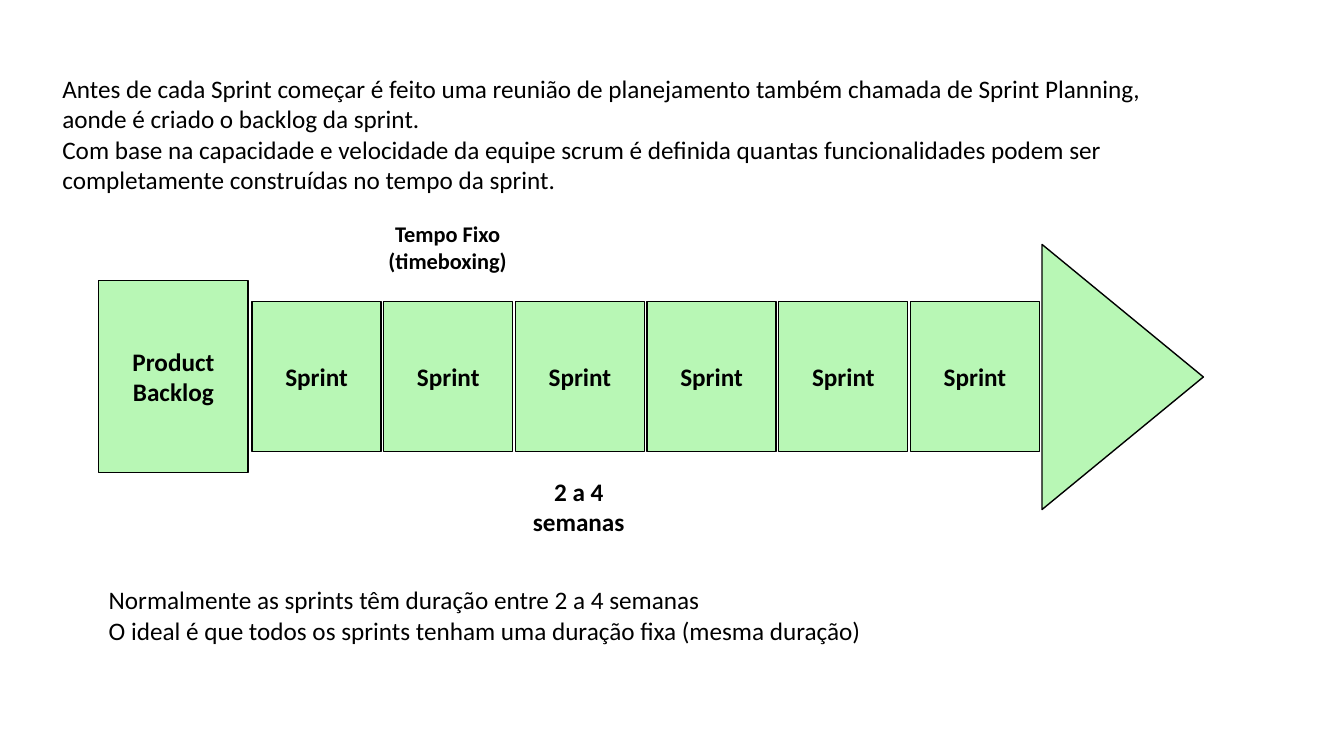
"""Build the sprint timeline slide."""
from pptx import Presentation
from pptx.dml.color import RGBColor
from pptx.enum.shapes import MSO_SHAPE
from pptx.enum.text import MSO_ANCHOR, PP_ALIGN
from pptx.util import Inches, Pt

RECT, TRIANGLE = MSO_SHAPE.RECTANGLE, MSO_SHAPE.ISOSCELES_TRIANGLE
LEFT, CENTER = PP_ALIGN.LEFT, PP_ALIGN.CENTER
TOP, MIDDLE = MSO_ANCHOR.TOP, MSO_ANCHOR.MIDDLE
COLORS = {"green": "B8F7B5", "black": "000000", "white": "FFFFFF"}

prs = Presentation()
prs.slide_width, prs.slide_height = Inches(13.33), Inches(7.5)
s = prs.slides.add_slide(prs.slide_layouts[6])


def write(sp, lines, size=18, bold=False, align=LEFT, anchor=TOP):
    tf = sp.text_frame
    tf.word_wrap = True
    tf.vertical_anchor = anchor
    for i, line in enumerate(lines):
        p = tf.paragraphs[0] if i == 0 else tf.add_paragraph()
        p.alignment = align
        r = p.add_run()
        r.text = line
        r.font.name = "Calibri"
        r.font.size = Pt(size)
        r.font.bold = bold
        r.font.color.rgb = RGBColor.from_string(COLORS["black"])


def add_block(kind, box, lines=(), size=18, fill="green"):
    sp = s.shapes.add_shape(kind, *map(Inches, box))
    sp.shadow.inherit = False
    sp.fill.solid()
    sp.fill.fore_color.rgb = RGBColor.from_string(COLORS[fill])
    if fill == "green":
        sp.line.color.rgb = RGBColor.from_string(COLORS["black"])
        sp.line.width = Pt(1)
    else:
        sp.line.fill.background()
    write(sp, lines, size, True, CENTER, MIDDLE)
    return sp


axis = 3.735
sprint_left, sprint_w, sprint_h, step = 2.5, 1.28, 1.49, 1.306
backlog_h = 1.91

add_block(RECT, (0.98, axis - backlog_h / 2, 1.48, backlog_h), ["Product Backlog"])
for i in range(6):
    add_block(RECT, (sprint_left + i * step, axis - sprint_h / 2, sprint_w, sprint_h),
              ["Sprint"])

arrow = add_block(TRIANGLE, (9.82, 2.94, 2.63, 1.6))
arrow.rotation = 90

add_block(RECT, (3.64, 2.1, 1.6, 0.71), ["Tempo Fixo", "(timeboxing)"], 16, "white")
add_block(RECT, (5.1, 4.67, sprint_w, 0.71), ["2 a 4 semanas"], 18, "white")

notes = [
    ((0.98, 5.75, 9.51, 1.62), [
        "Normalmente as sprints têm duração entre 2 a 4 semanas",
        "O ideal é que todos os sprints tenham uma duração fixa (mesma duração)",
    ]),
    ((0.52, 0.68, 11.43, 1.62), [
        "Antes de cada Sprint começar é feito uma reunião de planejamento também "
        "chamada de Sprint Planning, aonde é criado o backlog da sprint.",
        "Com base na capacidade e velocidade da equipe scrum é definida quantas "
        "funcionalidades podem ser completamente construídas no tempo da sprint.",
    ]),
]
for box, lines in notes:
    write(s.shapes.add_textbox(*map(Inches, box)), lines)

prs.save("out.pptx")
